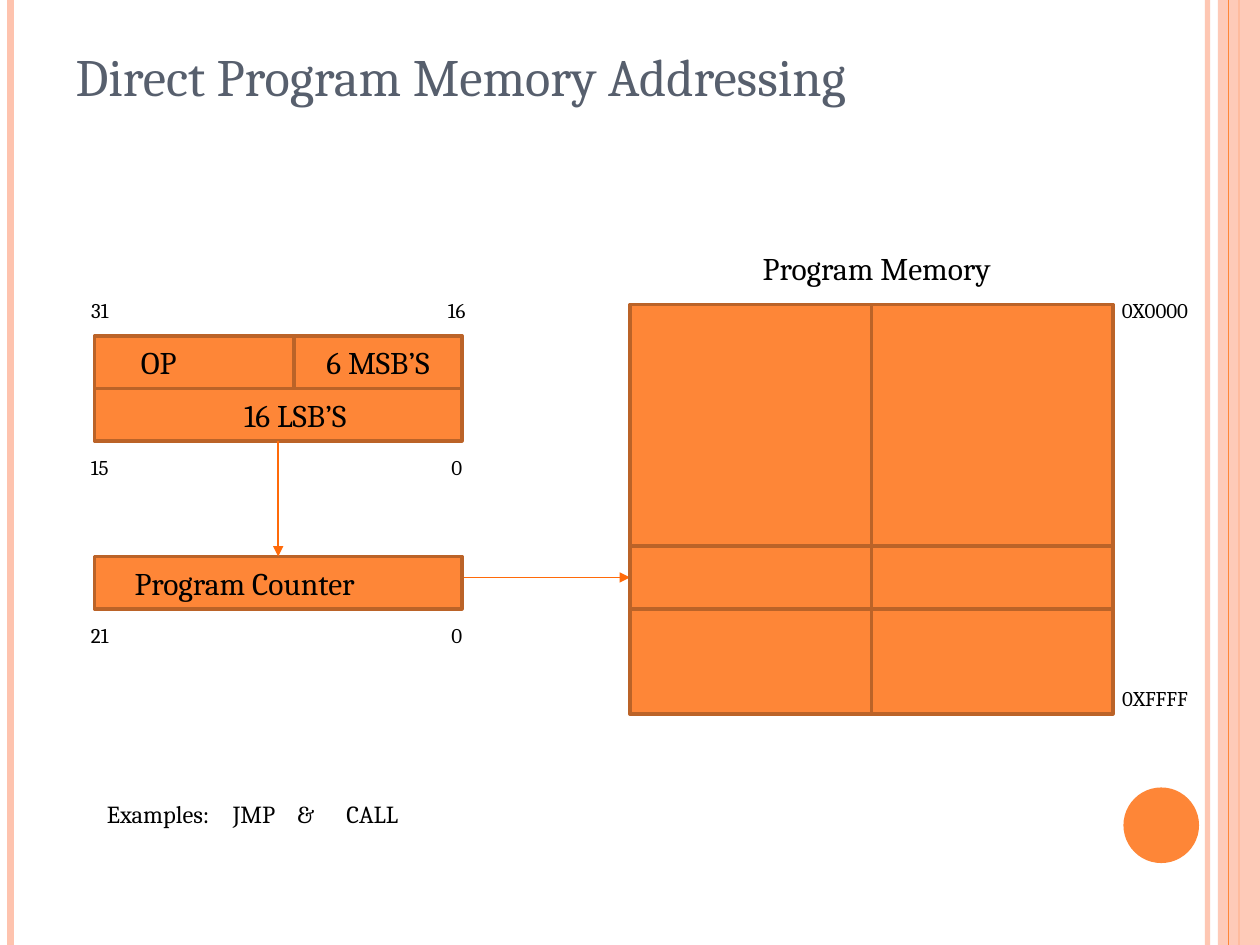
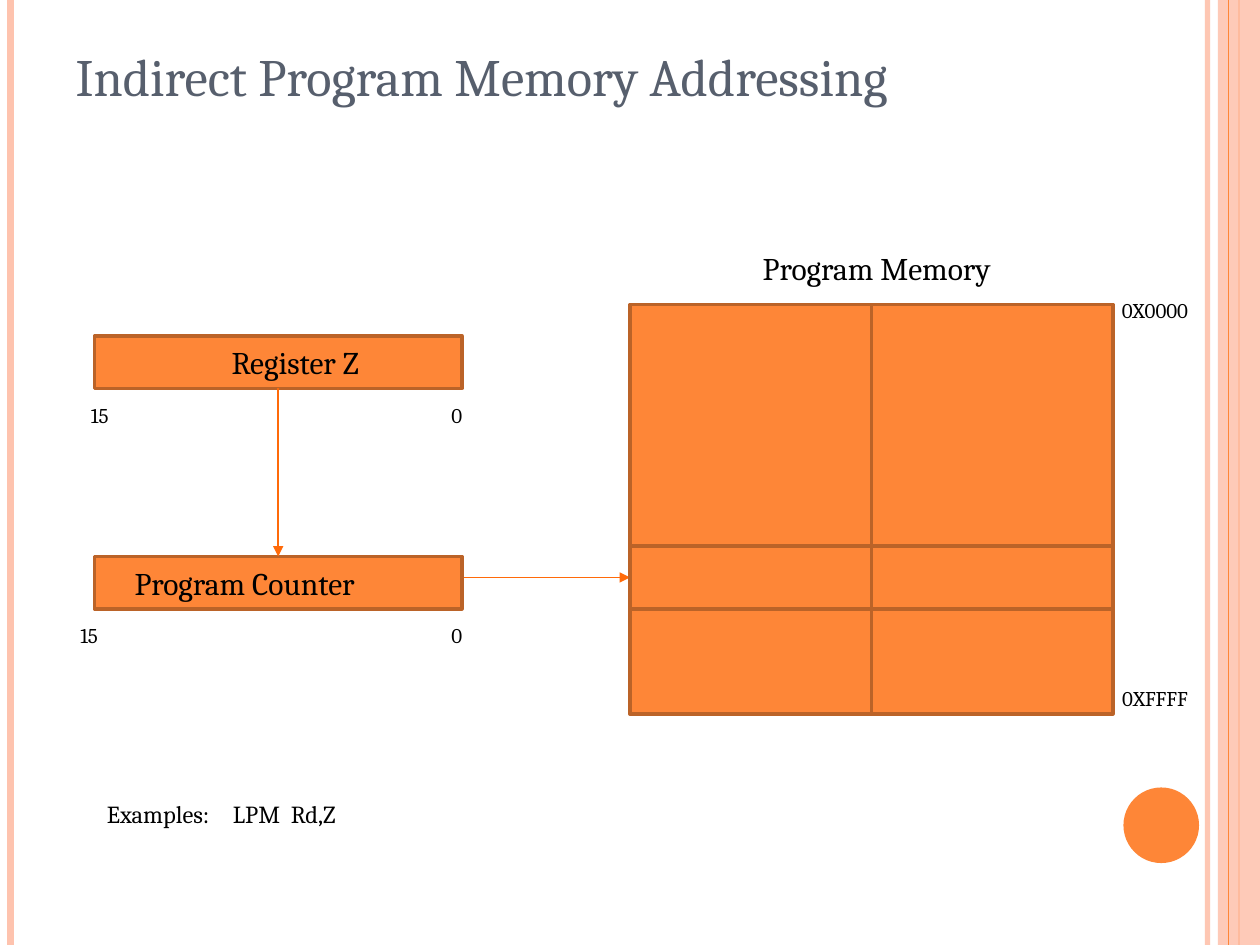
from dataclasses import dataclass

from lxml.etree import SubElement
from pptx import Presentation
from pptx.dml.color import RGBColor
from pptx.enum.shapes import MSO_CONNECTOR as Connector, MSO_SHAPE as Shape
from pptx.enum.text import MSO_ANCHOR as Anchor, MSO_AUTO_SIZE as AutoSize, PP_ALIGN as Align
from pptx.oxml.ns import qn
from pptx.util import Inches, Pt

FONT = "Cambria"
BLACK, TITLE_GREY = "000000", "575F6D"
ORANGE, BROWN, ARROW, PEACH = "FE8637", "BB6328", "FF6A09", "FEC3AE"
COLUMNS, ROWS = 120, 90  # grid cells of a twelfth of an inch
ROW = 5  # height of a register row and of a label


def cells(count):
    return Inches(count / 12)


@dataclass
class Box:
    """An area of the slide, in grid cells."""
    left: float
    top: float
    width: float
    height: float

    def inner(self, left, top, width, height):
        return Box(self.left + left, self.top + top, width, height)

    def place(self):
        return [cells(n) for n in (self.left, self.top, self.width, self.height)]


SLIDE = Box(0, 0, COLUMNS, ROWS)
REGISTER = SLIDE.inner(9, 32, 35, ROW)
COUNTER = SLIDE.inner(9, 53, 35, ROW)
MEMORY = SLIDE.inner(60, 29, 46, 39)
EXAMPLES = SLIDE.inner(9, 71, 86, 13)


def paint(color_format, color):
    color_format.rgb = RGBColor.from_string(color)


def set_alpha(parent, percent):
    color = next(parent.iter(qn("a:srgbClr")))
    SubElement(color, qn("a:alpha"), val=str(percent * 1000))


def write(frame, runs, size, color=BLACK, align=Align.CENTER, anchor=Anchor.MIDDLE,
          indent=0, tabs=()):
    frame.word_wrap = True
    frame.auto_size = AutoSize.NONE
    frame.vertical_anchor = anchor
    para = frame.paragraphs[0]
    para.alignment = align
    properties = para._p.get_or_add_pPr()
    if indent:
        properties.set("marL", str(Inches(indent)))
        properties.set("indent", "0")
    if tabs:
        stops = SubElement(properties, qn("a:tabLst"))
        for stop in tabs:
            SubElement(stops, qn("a:tab"), pos=str(Inches(stop)), algn="l")
    for text in runs:
        span = para.add_run()
        span.text = text
        span.font.name, span.font.size = FONT, Pt(size)
        paint(span.font.color, color)


def add_label(page, box, text, size=12):
    write(page.shapes.add_textbox(*box.place()).text_frame, [text], size)


def add_block(page, box, kind=Shape.RECTANGLE, fill=ORANGE, outline=BROWN):
    block = page.shapes.add_shape(kind, *box.place())
    block.shadow.inherit = False
    block.fill.solid()
    paint(block.fill.fore_color, fill)
    if outline:
        paint(block.line.color, outline)
        block.line.width = Pt(2)
    else:
        block.line.fill.background()
    return block


def add_field(page, box, text, align=Align.CENTER, indent=0):
    write(add_block(page, box).text_frame, [text], 18, align=align, indent=indent)


def add_line(page, start, end, color, width, alpha=None, arrow=False):
    line = page.shapes.add_connector(Connector.STRAIGHT, *map(cells, (*start, *end)))
    paint(line.line.color, color)
    line.line.width = Pt(width)
    properties = line._element.spPr
    if alpha:
        set_alpha(properties, alpha)
    if arrow:
        SubElement(properties.find(qn("a:ln")), qn("a:tailEnd"), type="triangle")
    SubElement(properties, qn("a:effectLst"))


def add_frame(page, box):
    """Draw the stripes and the disc that every slide carries."""
    def stripe(x, color, width, alpha=None):
        x += box.left
        add_line(page, (x, box.top), (x, box.top + box.height), color, width, alpha)

    stripe(115, PEACH, 3, 93)
    stripe(1, PEACH, 4.5)
    stripe(118, ORANGE, 1.5)
    band = add_block(page, box.inner(116, 0, 4, box.height), fill=PEACH, outline=None)
    set_alpha(band._element.spPr, 87)
    stripe(117, ORANGE, 0.75)
    add_block(page, box.inner(107, 75, 7.2, 7.2), Shape.OVAL, outline=None)


def add_page(deck, title, title_width):
    page = deck.slides.add_slide(deck.slide_layouts[5])
    add_frame(page, SLIDE)
    heading = page.shapes.title
    place = SLIDE.inner(6, 3.6, title_width, 15).place()
    heading.left, heading.top, heading.width, heading.height = place
    write(heading.text_frame, [title], 30, TITLE_GREY, Align.LEFT, Anchor.TOP)
    return page


def add_bits(page, box, high, low, top, high_left=-2):
    """Number the highest and lowest bit, top cells below the top of a register."""
    add_label(page, box.inner(high_left, top, ROW, ROW), high)
    add_label(page, box.inner(box.width - 3, top, ROW, ROW), low)


def add_instruction(page, box):
    add_field(page, box, "OP", Align.LEFT, 0.27)
    add_field(page, box.inner(19, 0, 16, ROW), "6 MSB’S")
    add_field(page, box.inner(0, ROW, box.width, ROW), "16 LSB’S", indent=0.27)
    add_bits(page, box, "31", "16", -ROW)
    add_bits(page, box, "15", "0", 2 * ROW)


def add_pointer(page, box):
    add_field(page, box, "Register Z", indent=0.27)
    add_bits(page, box, "15", "0", ROW)


def add_counter(page, box, source_bottom, high, high_left=-2):
    """Draw the program counter, fed from above and pointing into memory."""
    middle_x, middle_y = box.left + box.width / 2, box.top + 2
    add_line(page, (box.left + 27, middle_y), (MEMORY.left, middle_y), ARROW, 1, arrow=True)
    add_field(page, box, "Program Counter", Align.LEFT, 0.22)
    add_line(page, (middle_x, source_bottom), (middle_x, box.top), ARROW, 1, arrow=True)
    add_bits(page, box, high, "0", ROW, high_left)


def add_memory(page, box):
    half = box.width / 2
    for column in range(2):
        add_block(page, box.inner(column * half, 0, half, box.height))
        add_block(page, box.inner(column * half, 23, half, 6))
    add_label(page, box.inner(9, -6, 29, ROW), "Program Memory", 18)
    add_label(page, box.inner(45, -2, 10, ROW), "0X0000")
    add_label(page, box.inner(43, 35, 14, ROW), "0XFFFF")


def add_examples(page, box, words, tabs):
    frame = page.shapes.add_textbox(*box.place()).text_frame
    runs = ["Examples:"] + ["\t" + word for word in words]
    write(frame, runs, 14, align=Align.LEFT, tabs=tabs)


def build_direct(deck):
    page = add_page(deck, "Direct Program Memory Addressing", 98)
    add_instruction(page, REGISTER)
    add_counter(page, COUNTER, REGISTER.top + 2 * ROW, "21")
    add_memory(page, MEMORY)
    add_examples(page, EXAMPLES, ["JMP", "&", "CALL"], [1, 1.51, 1.9])


def build_indirect(deck):
    page = add_page(deck, "Indirect Program Memory Addressing", 103)
    add_pointer(page, REGISTER)
    add_counter(page, COUNTER, REGISTER.top + ROW, "15", high_left=-3)
    add_memory(page, MEMORY)
    add_examples(page, EXAMPLES, ["LPM", "Rd,Z"], [1, 1.46])


def main():
    deck = Presentation()
    deck.slide_width, deck.slide_height = cells(COLUMNS), cells(ROWS)
    build_direct(deck)
    build_indirect(deck)
    deck.save("out.pptx")


if __name__ == "__main__":
    main()
